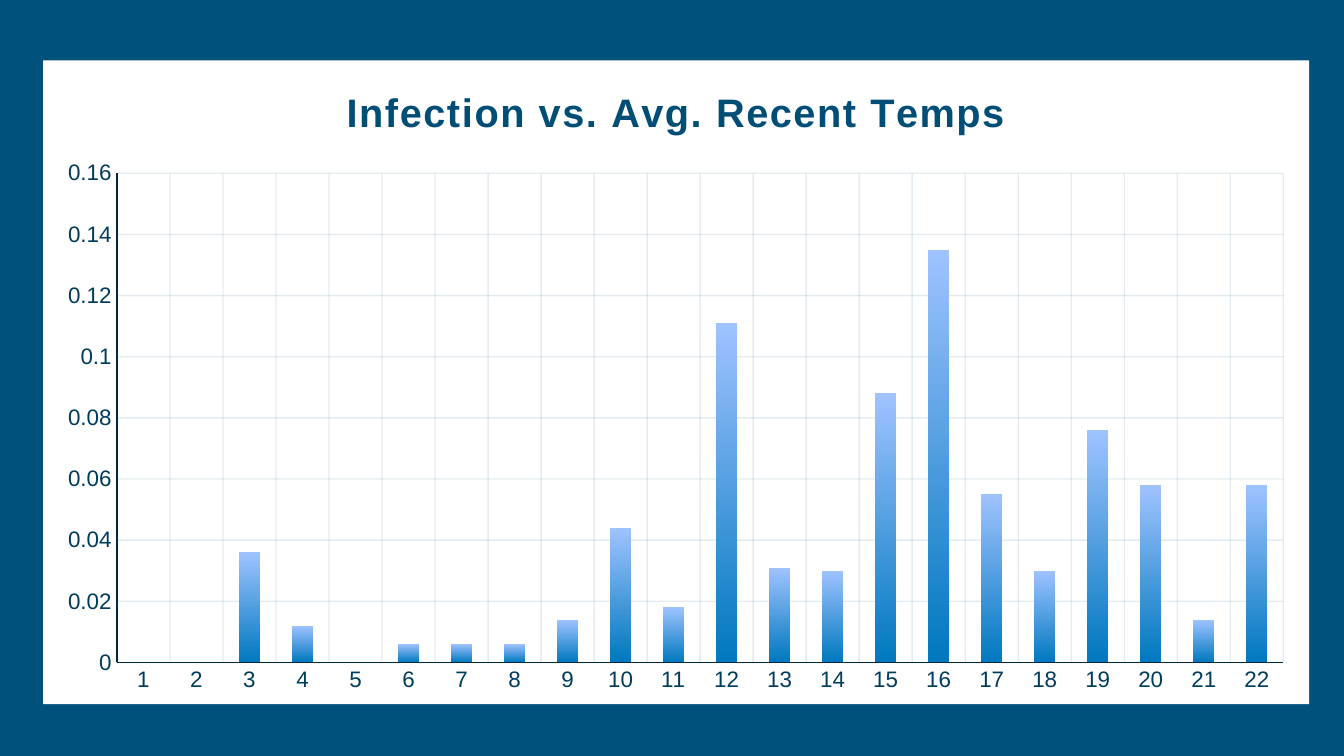
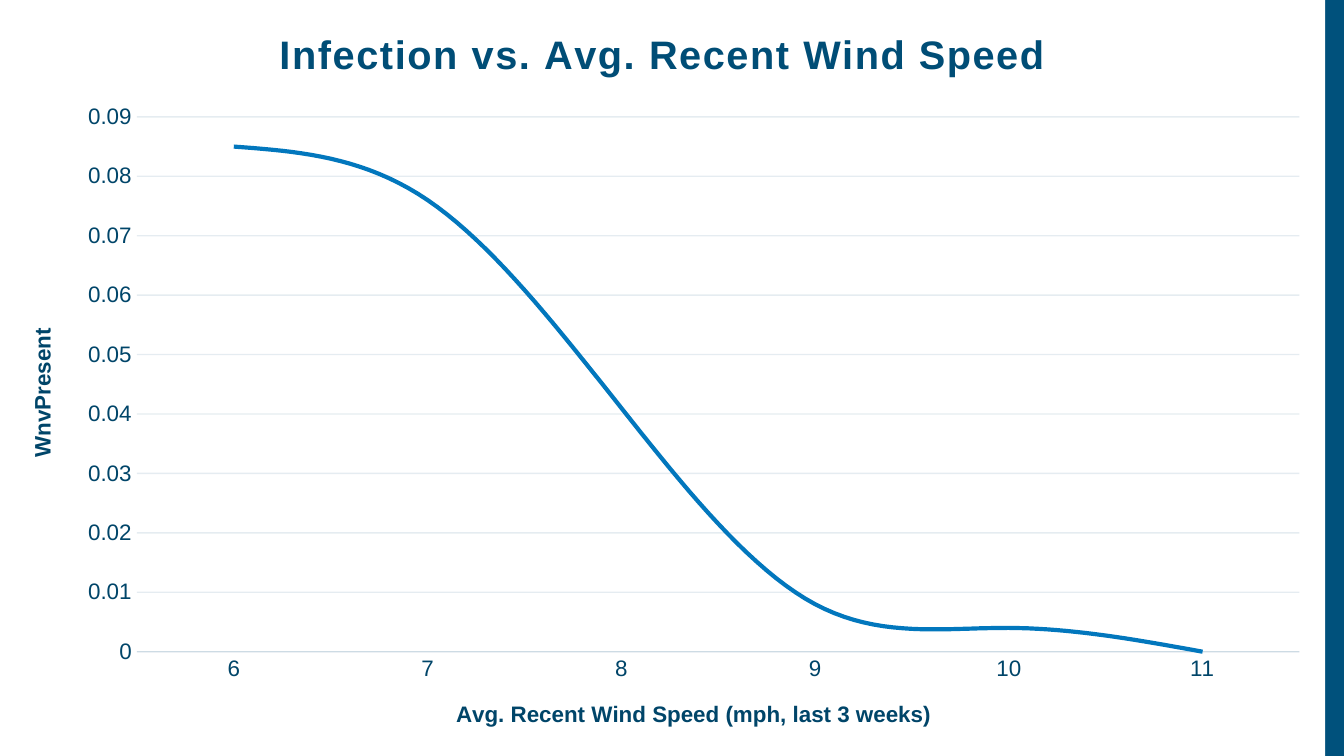
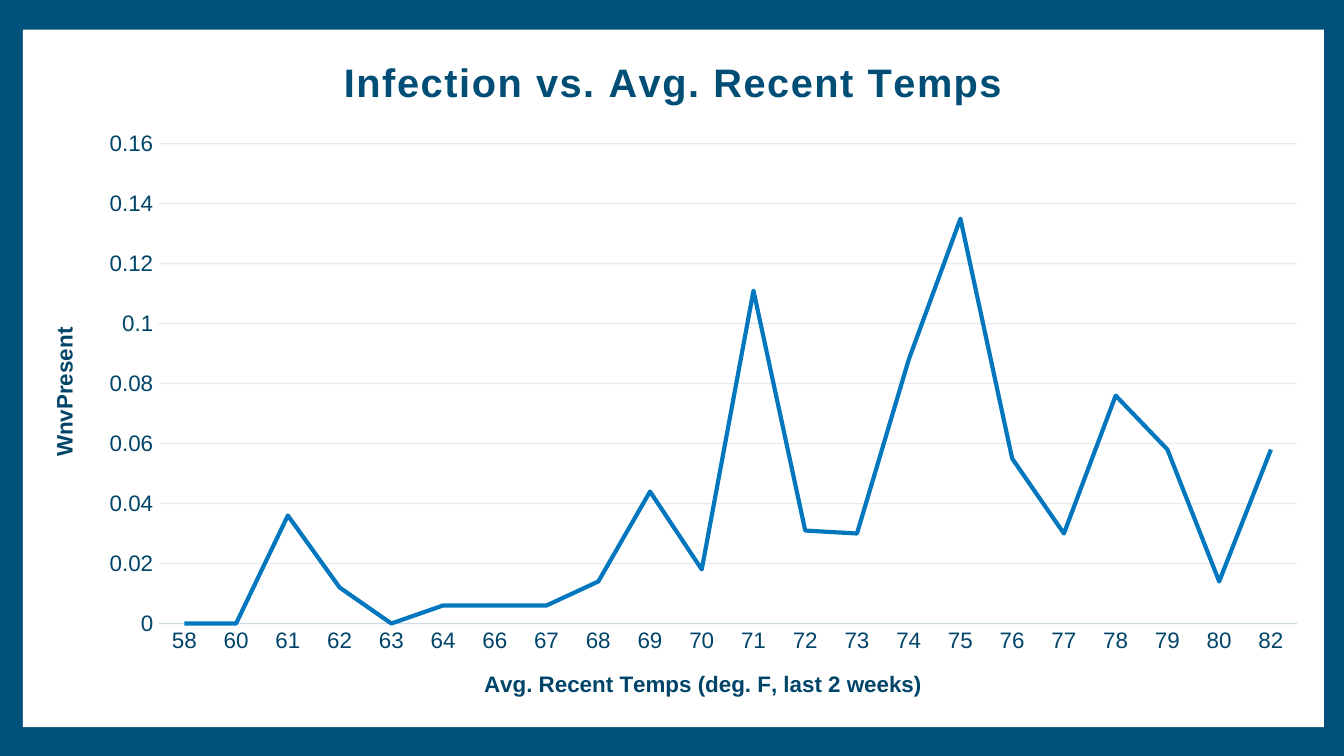
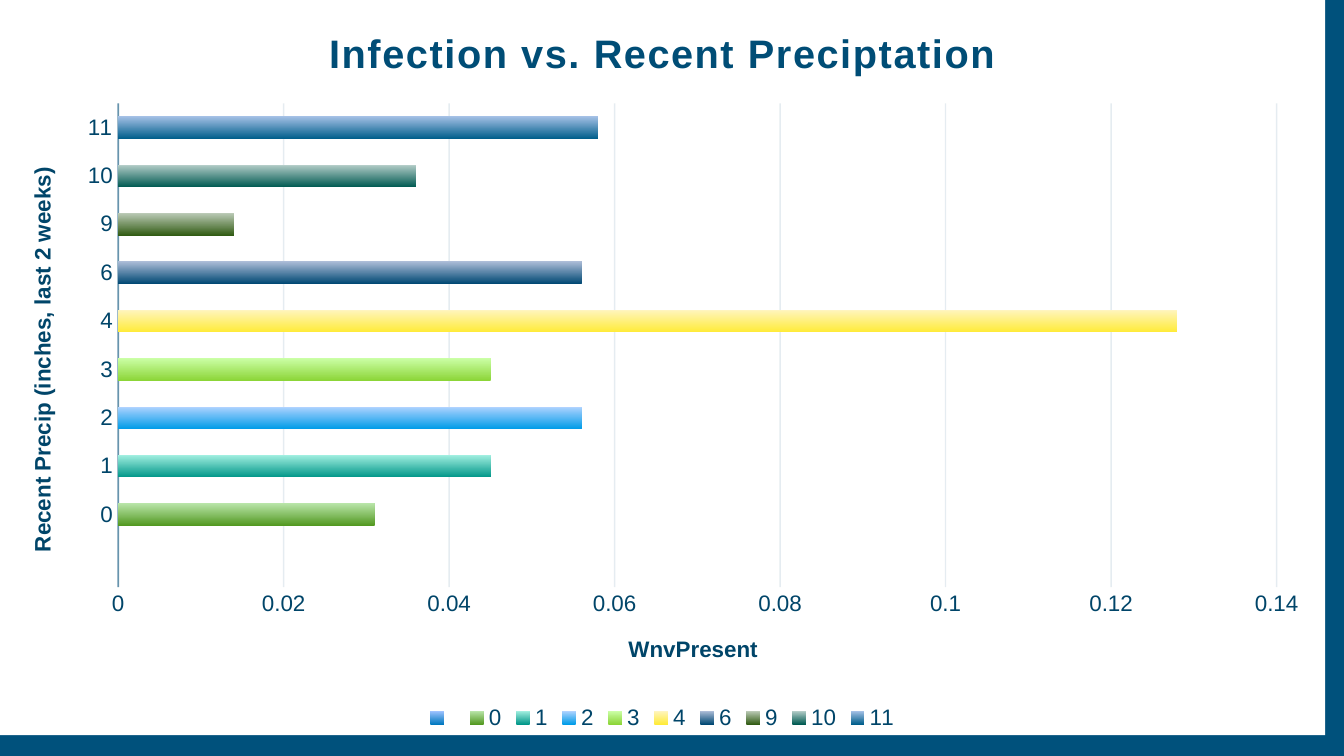
from dataclasses import dataclass

from lxml import etree
from pptx import Presentation
from pptx.chart.data import CategoryChartData
from pptx.dml.color import RGBColor
from pptx.enum.chart import XL_CHART_TYPE, XL_LEGEND_POSITION, XL_TICK_MARK
from pptx.oxml import parse_xml
from pptx.oxml.ns import nsdecls, qn
from pptx.util import Inches, Pt


@dataclass(frozen=True)
class Theme:
    font: str = "Arial"
    backdrop: str = "00517C"
    panel: str = "FFFFFF"
    title: str = "004D76"
    label: str = "004569"
    dark_label: str = "003D5D"
    dark_axis: str = "00293E"
    faint: str = "004D76"
    series_line: str = "0277BD"
    title_size: float = 21.28
    title_spacing: int = 100  # hundredths of a point
    label_size: float = 12
    base_size: float = 10
    hairline: float = 0.75
    series_width: float = 2.25


THEME = Theme()
SLIDE_WIDTH = 10
SLIDE_HEIGHT = SLIDE_WIDTH * 9 / 16
FAINT = (THEME.faint, THEME.hairline, 10)  # colour, width, opacity in percent
DARK_AXIS = (THEME.dark_axis, THEME.hairline, 100)
STRONG_AXIS = (THEME.faint, 1, 54)

INFECTION = "WnvPresent"
BLUE_BARS = ("0078BF", "9FC3FF")
PRECIPITATION_BARS = [
    BLUE_BARS, ("539921", "B9E5A9"), ("009688", "A1EFE0"), ("009CE8", "B0D3FF"),
    ("8CD538", "CBFFA6"), ("FFEB38", "FFF5BF"), ("004873", "ADBDD8"),
    ("325C14", "BBCAB6"), ("005A52", "B4CDC8"), ("005E8B", "A5C1E6"),
]
TEMPERATURE_RATES = [0, 0, 0.036, 0.012, 0, 0.006, 0.006, 0.006, 0.014, 0.044, 0.018,
                     0.111, 0.031, 0.03, 0.088, 0.135, 0.055, 0.03, 0.076, 0.058, 0.014, 0.058]
TEMPERATURES = [58, *range(60, 65), *range(66, 81), 82]

# "area" is the chart and "plot" its inner plot: left, top, width, height in inches.
CHARTS = [
    {
        "title": "Infection vs. Avg. Recent Temps",
        "kind": XL_CHART_TYPE.COLUMN_CLUSTERED,
        "area": (0.32, 0.45, 9.42, 4.79), "plot": (0.87, 1.29, 8.68, 3.64),
        "categories": range(1, 23), "values": TEMPERATURE_RATES,
        "label_color": THEME.dark_label,
        "category_line": DARK_AXIS, "value_line": DARK_AXIS, "category_grid": True,
        "gap": 150, "bars": BLUE_BARS,
    },
    {
        "title": "Infection vs. Avg. Recent Wind Speed",
        "kind": XL_CHART_TYPE.LINE_STACKED,
        "area": (0, 0, 9.86, SLIDE_HEIGHT), "plot": (1.02, 0.87, 8.65, 3.98),
        "categories": range(6, 12), "values": [0.085, 0.076, 0.041, 0.008, 0.004, 0],
        "category_title": "Avg. Recent Wind Speed (mph, last 3 weeks)",
        "value_title": INFECTION, "smooth": True,
    },
    {
        "title": "Infection vs. Avg. Recent Temps",
        "kind": XL_CHART_TYPE.LINE,
        "area": (0.17, 0.22, 9.68, 5.19), "plot": (1.18, 1.07, 8.47, 3.57),
        "categories": TEMPERATURES, "values": TEMPERATURE_RATES,
        "category_title": "Avg. Recent Temps (deg. F, last 2 weeks)",
        "value_title": INFECTION,
    },
    {
        "title": "Infection vs. Recent Preciptation",
        "kind": XL_CHART_TYPE.BAR_CLUSTERED,
        "area": (0, 0, 9.86, 5.47), "plot": (0.88, 0.77, 8.62, 3.6),
        "categories": ["", 0, 1, 2, 3, 4, 6, 9, 10, 11],
        "values": [None, 0.031, 0.045, 0.056, 0.045, 0.128, 0.056, 0.014, 0.036, 0.058],
        "category_title": "Recent Precip (inches, last 2 weeks)",
        "value_title": INFECTION, "category_line": STRONG_AXIS,
        "gap": 115, "overlap": -20, "point_bars": PRECIPITATION_BARS, "legend": True,
    },
]


def style_font(font, color, size, bold=False):
    font.name = THEME.font
    font.size = Pt(size)
    font.bold = bold
    font.color.rgb = RGBColor.from_string(color)


def style_line(line, color, width, opacity=100):
    line.width = Pt(width)
    line.color.rgb = RGBColor.from_string(color)
    if opacity < 100:
        tone = next(line._get_or_add_ln().iter(qn("a:srgbClr")))
        etree.SubElement(tone, qn("a:alpha")).set("val", str(opacity * 1000))


def fill_gradient(fill, colors):
    """Run from the first colour at the bottom to the second at the top."""
    fill.gradient()
    fill.gradient_angle = 90
    for stop, color in zip(fill.gradient_stops, colors):
        stop.color.rgb = RGBColor.from_string(color)


def write_title(text_frame, text, color, size, spacing=0):
    text_frame.text = text
    span = text_frame.paragraphs[0].runs[0]
    style_font(span.font, color, size, bold=True)
    if spacing:
        span._r.get_or_add_rPr().set("spc", str(spacing))


def style_axis(axis, label_color, line, grid, title):
    axis.major_tick_mark = axis.minor_tick_mark = XL_TICK_MARK.NONE
    style_font(axis.tick_labels.font, label_color, THEME.label_size)
    if line:
        style_line(axis.format.line, *line)
    else:
        axis.format.line.fill.background()
    axis.has_major_gridlines = grid
    if grid:
        style_line(axis.major_gridlines.format.line, *FAINT)
    axis.has_title = bool(title)
    if title:
        write_title(axis.axis_title.text_frame, title, label_color, THEME.label_size)


def fill_panel(chart):
    """Fill the chart area; its properties stand just before the chart's text style."""
    panel = parse_xml(
        f'<c:spPr {nsdecls("c", "a")}><a:solidFill><a:srgbClr val="{THEME.panel}"/>'
        "</a:solidFill><a:ln><a:noFill/></a:ln></c:spPr>"
    )
    chart._chartSpace.find(qn("c:txPr")).addprevious(panel)


def place_plot(chart, area, plot):
    left, top, width, height = area
    fractions = {
        "x": (plot[0] - left) / width, "y": (plot[1] - top) / height,
        "w": plot[2] / width, "h": plot[3] / height,
    }
    plot_area = chart._chartSpace.chart.plotArea
    for old_layout in plot_area.findall(qn("c:layout")):
        plot_area.remove(old_layout)
    layout = etree.Element(qn("c:layout"))
    manual = etree.SubElement(layout, qn("c:manualLayout"))
    settings = {"layoutTarget": "inner", "xMode": "edge", "yMode": "edge"}
    settings.update({name: f"{value:.4f}" for name, value in fractions.items()})
    for name, value in settings.items():
        etree.SubElement(manual, qn(f"c:{name}")).set("val", value)
    plot_area.insert(0, layout)


def style_series(plot, content):
    series = plot.series[0]
    plot.vary_by_categories = "point_bars" in content
    if "gap" in content:
        plot.gap_width = content["gap"]
        plot.overlap = content.get("overlap", 0)
    else:
        series.smooth = content.get("smooth", False)
        style_line(series.format.line, THEME.series_line, THEME.series_width)
    if "bars" in content:
        fill_gradient(series.format.fill, content["bars"])
    for index, colors in enumerate(content.get("point_bars", [])):
        fill_gradient(series.points[index].format.fill, colors)


def add_chart_page(deck, content):
    page = deck.slides.add_slide(deck.slide_layouts[6])
    page.background.fill.solid()
    page.background.fill.fore_color.rgb = RGBColor.from_string(THEME.backdrop)

    data = CategoryChartData()
    data.categories = [str(category) for category in content["categories"]]
    data.add_series("Series 1", content["values"])
    area = [Inches(length) for length in content["area"]]
    chart = page.shapes.add_chart(content["kind"], *area, data).chart

    style_font(chart.font, THEME.panel, THEME.base_size)
    fill_panel(chart)
    chart.has_title = True
    write_title(chart.chart_title.text_frame, content["title"], THEME.title,
                THEME.title_size, THEME.title_spacing)
    chart.chart_title.include_in_layout = False

    label_color = content.get("label_color", THEME.label)
    style_axis(chart.category_axis, label_color, content.get("category_line", FAINT),
               content.get("category_grid", False), content.get("category_title"))
    style_axis(chart.value_axis, label_color, content.get("value_line"),
               True, content.get("value_title"))
    style_series(chart.plots[0], content)
    place_plot(chart, content["area"], content["plot"])

    chart.has_legend = content.get("legend", False)
    if chart.has_legend:
        chart.legend.position = XL_LEGEND_POSITION.BOTTOM
        chart.legend.include_in_layout = False
        style_font(chart.legend.font, THEME.label, THEME.label_size)


def main():
    deck = Presentation()
    deck.slide_width, deck.slide_height = Inches(SLIDE_WIDTH), Inches(SLIDE_HEIGHT)
    for content in CHARTS:
        add_chart_page(deck, content)
    deck.save("out.pptx")


if __name__ == "__main__":
    main()
